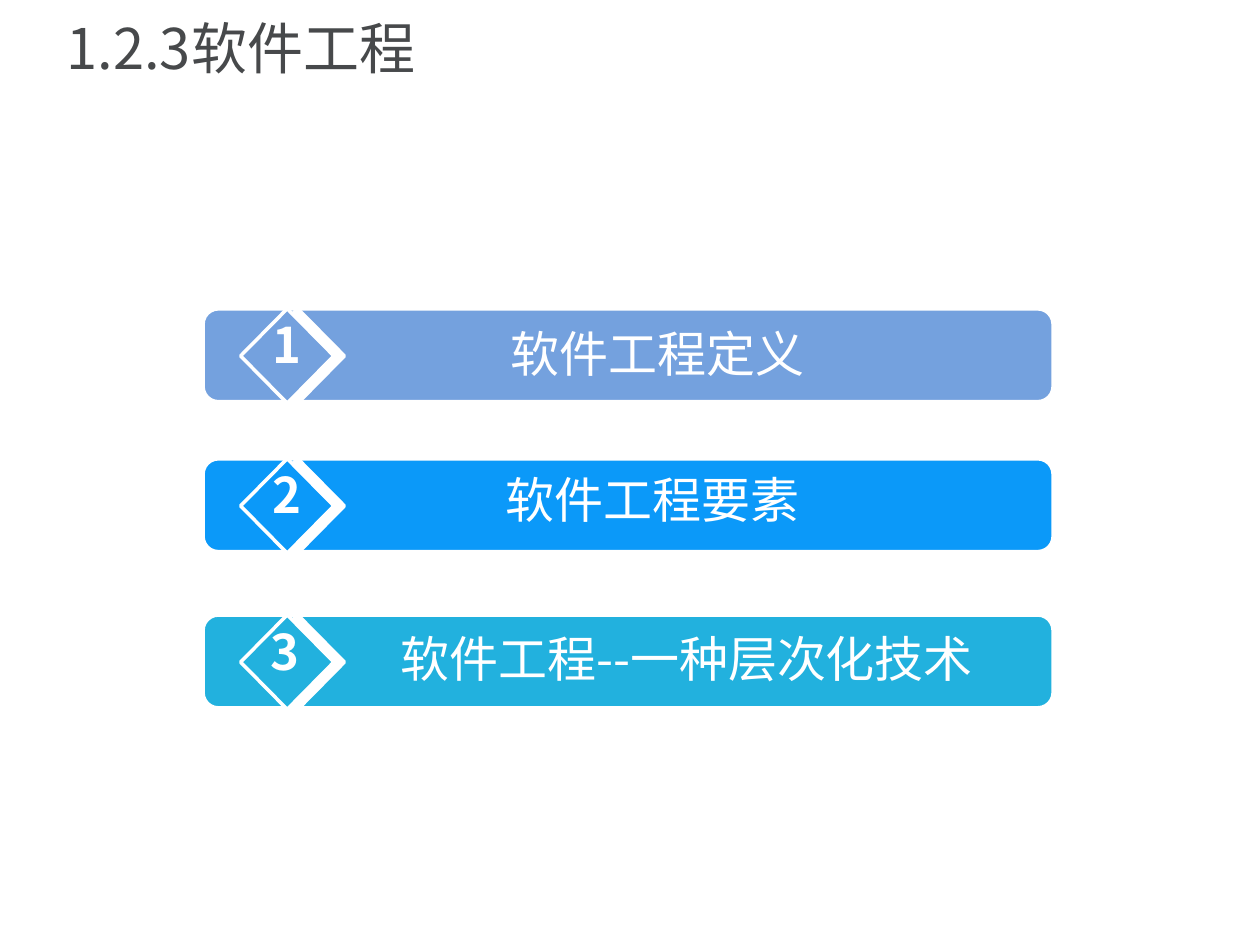
from lxml import etree
from pptx import Presentation
from pptx.dml.color import RGBColor
from pptx.enum import shapes, text
from pptx.oxml import ns
from pptx.util import Inches, Pt

WHITE = "FFFFFF"
LABEL_FONT = "Noto Sans CJK JP"
TITLE_FONT = "Noto Sans CJK SC"


def color(value):
    return RGBColor.from_string(value)


def add_text(slide, box, content, font_name, size, fill, bold=False, **formats):
    frame = slide.shapes.add_textbox(*map(Inches, box)).text_frame
    frame.word_wrap = True
    frame.vertical_anchor = formats.pop("anchor", text.MSO_ANCHOR.TOP)
    paragraph = frame.paragraphs[0]
    for name, value in formats.items():
        setattr(paragraph, name, value)
    run = paragraph.add_run()
    run.text = content
    for name, value in {"name": font_name, "size": Pt(size), "bold": bold}.items():
        setattr(run.font, name, value)
    run.font.color.rgb = color(fill)
    east_asian = etree.SubElement(run.font._element, ns.qn("a:ea"))
    east_asian.set("typeface", font_name)


def add_panel(slide, kind, box, fill, line_width):
    shape = slide.shapes.add_shape(kind, *map(Inches, box))
    shape.shadow.inherit = False
    shape.fill.solid()
    shape.fill.fore_color.rgb = color(fill)
    shape.line.color.rgb = color(WHITE)
    shape.line.width = Pt(line_width)
    return shape


def add_white_shadow(shape, distance, angle, opacity):
    effects = shape._element.spPr.find(ns.qn("a:effectLst"))
    shadow = etree.SubElement(effects, ns.qn("a:outerShdw"))
    for name, value in {
        "dist": Pt(distance),
        "dir": angle * 60000,
        "algn": "ctr",
        "rotWithShape": 0,
    }.items():
        shadow.set(name, str(int(value)))if name != "algn" else shadow.set(name, value)
    tint = etree.SubElement(shadow, ns.qn("a:srgbClr"), val=WHITE)
    etree.SubElement(tint, ns.qn("a:alpha"), val=str(opacity * 1000))


def add_title(slide, box):
    add_text(slide, box, "1.2.3软件工程", TITLE_FONT, 32, "47494B",
             anchor=text.MSO_ANCHOR.MIDDLE, line_spacing=0.9, space_after=Pt(13))


def add_topic(slide, box, number, number_left, label, label_box, fill):
    left, top, width, height = box
    bar = add_panel(slide, shapes.MSO_SHAPE.ROUNDED_RECTANGLE, box, fill, 2.25)
    add_white_shadow(bar, 5.7, 45, 50)
    diamond = add_panel(slide, shapes.MSO_SHAPE.DIAMOND,
                        (left + 0.3, top, 0.74, height + 0.01), fill, 2)
    add_white_shadow(diamond, 6, 0, 100)
    add_text(slide, label_box, label, LABEL_FONT, 28, WHITE,
             alignment=text.PP_ALIGN.CENTER)
    add_text(slide, (number_left, top, 0.48, 0.57), str(number), LABEL_FONT, 28,
             WHITE, bold=True, alignment=text.PP_ALIGN.CENTER)


def main():
    presentation = Presentation()
    presentation.slide_width = Inches(10)
    presentation.slide_height = Inches(7.5)
    slide = presentation.slides.add_slide(presentation.slide_layouts[6])
    add_title(slide, (0.43, 0.06, 9.05, 0.7))
    topics = [
        (2.45, 2.04, "软件工程定义", (2.42, 2.52, 5.6, 1.51), "74A1DE"),
        (3.64, 2.04, "软件工程要素", (2.38, 3.68, 5.6, 1.04), "0B99F9"),
        (4.88, 2.02, "软件工程--一种层次化技术", (2.65, 4.94, 5.6, 1.04), "22B1DE"),
    ]
    for number, (top, number_left, label, label_box, fill) in enumerate(topics, 1):
        add_topic(slide, (1.61, top, 6.75, 0.74), number, number_left,
                  label, label_box, fill)
    presentation.save("out.pptx")


if __name__ == "__main__":
    main()
